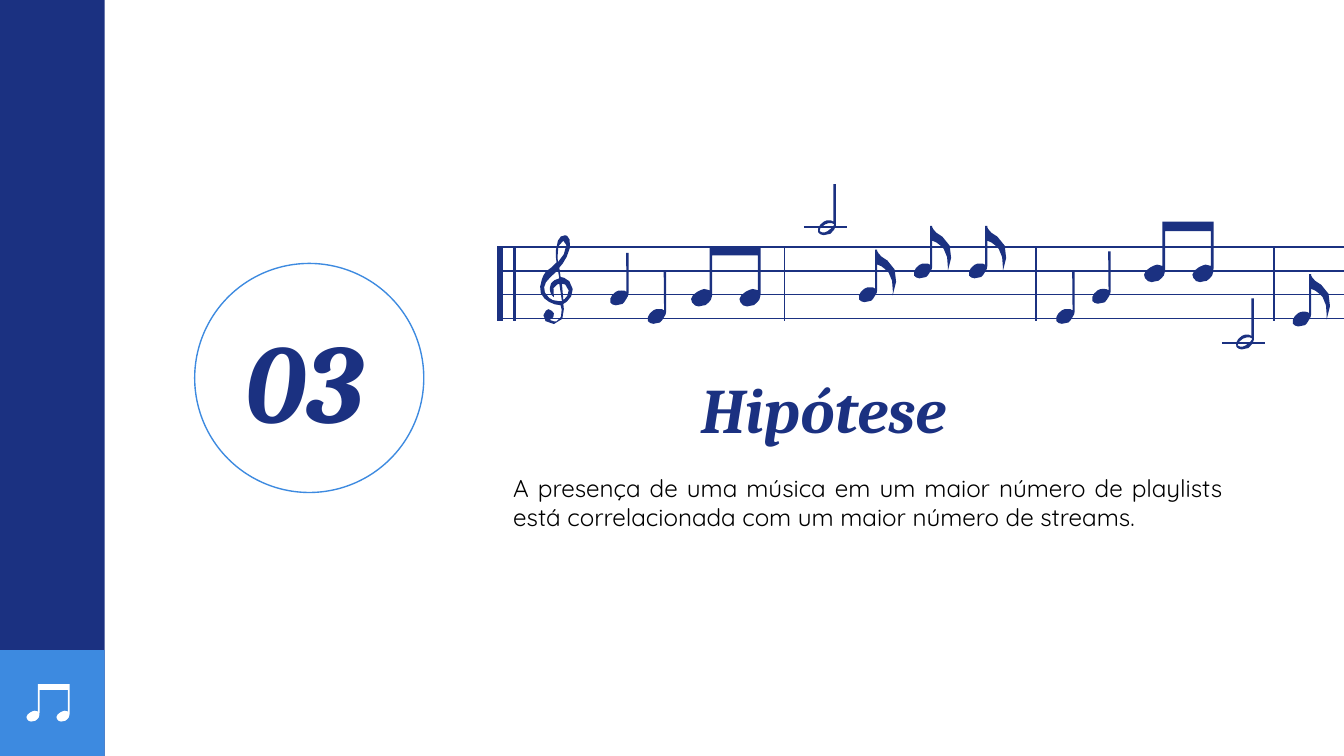
import math

from pptx import Presentation
from pptx import util as u
from pptx.dml.color import RGBColor
from pptx.enum import shapes, text
from pptx.oxml.ns import qn
from lxml import etree

NAVY, BLUE, WHITE, BLACK = "1B3181", "3D8AE0", "FFFFFF", "000000"
GRID = u.Cm(2.54) / 100  # glyph outlines are drawn on this grid


def shift(segments, dx):
    """Move outline segments sideways."""
    return [tuple(v if i % 2 else v + dx for i, v in enumerate(s)) for s in segments]


# Glyph contours: pairs are line points, six numbers are a Bezier curve
NOTE_HEAD = [(13, 29), (12, 28, 11, 28, 9, 28), (8, 28, 6, 28, 5, 29),
             (2, 31, 0, 34, 1, 37), (2, 38, 3, 39, 5, 39), (7, 39, 8, 38, 10, 38),
             (11, 37, 12, 36, 13, 34), (14, 33, 14.5, 31, 14.5, 30)]
QUARTER = [[(12.7, 0)] + NOTE_HEAD + [(14.5, 0)]]
EIGHTH = [[(13, 0)] + NOTE_HEAD + [
    (14.5, 11), (18, 12, 20, 14, 23, 17), (27, 21, 26, 34, 26, 34),
    (30, 24, 30, 13, 22, 8), (16, 5, 15, 2, 14.5, 1), (14.5, 0)]]
HALF = [
    [(11, 29), (12, 29, 12, 29, 13, 30), (13, 31, 11, 33, 8, 35),
     (7, 36, 5, 36, 4, 36), (3, 36, 2, 36, 2, 35), (1, 34, 3, 32, 6, 30),
     (8, 29, 9, 29, 11, 29)],
    [(12.3, 0), (12.3, 28), (11, 27, 10, 27, 9, 27), (8, 27, 6, 27, 5, 28),
     (2, 30, 0, 33, 1, 36), (2, 37, 3, 38, 5, 38), (7, 38, 8, 37, 10, 37),
     (12, 35, 14, 33, 14, 31), (14, 0)],
]
BEAM_HEAD = [(15, 33), (14, 33, 13, 32, 11, 32), (10, 32, 8, 33, 6, 34),
             (2, 36, 0, 40, 2, 42), (3, 44, 5, 45, 7, 45), (8, 45, 10, 44, 12, 44),
             (14, 43, 15, 41, 16, 40), (17, 38, 17, 36, 17, 34)]
BEAMED = [[(15, 0)] + BEAM_HEAD + [(17, 7), (51, 7)] + shift(BEAM_HEAD, 36) + [(53, 0)]]
CLEF = [
    [(18, 4), (23, 4, 19, 16, 14, 20), (14, 20, 12, 4, 18, 4)],
    [(17, 36), (18, 36, 21, 36, 22, 41), (22, 46, 18, 48, 18, 48)],
    [(14, 26), (15, 32), (11, 33, 8, 35, 8, 39), (8, 41, 8, 42, 9, 44), (11, 46),
     (8, 37, 15, 36, 15, 36), (17, 49), (15, 49), (9, 49, 7, 46, 7, 46),
     (3, 43, 3, 38, 5, 35), (7, 32, 14, 26, 14, 26)],
    [(19, 0), (17, 0, 15, 1, 14, 4), (11, 11, 13, 20, 13, 20), (9, 24),
     (8, 25, 6, 26, 5, 27), (4, 29, 2, 31, 2, 33),
     (0, 38, 0, 44, 4, 47), (7, 50, 12, 52, 16, 52), (17, 53, 18, 63, 13, 64),
     (11, 64), (8, 63), (10, 62, 12, 60, 11, 58),
     (10, 57, 9, 55, 7, 55), (5, 56), (2, 58, 2, 66, 11, 66),
     (21, 66, 18, 51, 18, 51), (19, 51, 26, 46, 25, 40), (24, 32, 17, 31, 16, 31),
     (15, 24), (17, 22, 21, 17, 23, 9), (24, 1, 20, 0, 20, 0)],
]

# Glyph positions in centimetres
NOTES = [
    (CLEF, [(10.19, 4.45)]),
    (QUARTER, [(11.51, 4.78), (12.22, 5.13), (19.94, 5.13), (20.62, 4.75)]),
    (BEAMED, [(13.03, 4.65), (21.59, 4.19)]),
    (HALF, [(15.44, 3.48), (23.34, 5.64)]),
    (EIGHTH, [(16.21, 4.72), (17.25, 4.27), (18.29, 4.27), (24.41, 5.18)]),
]
BAR_LINES = [(9.45, 3), (9.73, 1.5), (14.83, 0.75), (19.58, 0.75), (24.08, 0.75)]
LEDGER_LINES = [(15.19, 4.29), (23.09, 6.48)]


def color(value):
    return RGBColor.from_string(value)


def paint(shape, fill=None, line=None):
    shape.shadow.inherit = False
    if fill:
        shape.fill.solid()
        shape.fill.fore_color.rgb = color(fill)
    else:
        shape.fill.background()
    if line:
        shape.line.color.rgb = color(line)
        shape.line.width = u.Pt(0.75)
    else:
        shape.line.fill.background()


def add_preset(page, kind, left, top, width, height, **look):
    shape = page.shapes.add_shape(kind, u.Cm(left), u.Cm(top), u.Cm(width), u.Cm(height))
    paint(shape, **look)


def add_line(parent, x1, y1, x2, y2, width=0.75):
    line = parent.shapes.add_connector(
        shapes.MSO_CONNECTOR.STRAIGHT, u.Cm(x1), u.Cm(y1), u.Cm(x2), u.Cm(y2))
    line.line.color.rgb = color(NAVY)
    line.line.width = u.Pt(width)
    etree.SubElement(line._element.spPr, qn("a:effectLst"))


def flatten(contour):
    """Turn lines and Bezier curves into points, with more of them on longer curves."""
    points = [contour[0]]
    for segment in contour[1:]:
        start, end = points[-1], segment[-2:]
        if len(segment) == 2:
            points.append(end)
            continue
        chord = math.dist(start, end)
        steps = 1 + (chord > 2.5) + (chord > 8)
        for step in range(1, steps + 1):
            t = step / steps
            s = 1 - t
            points.append(tuple(
                s**3 * p + 3 * s * s * t * q + 3 * s * t * t * r + t**3 * v
                for p, q, r, v in zip(start, segment[:2], segment[2:4], end)))
    return points


def add_glyph(page, contours, left, top, fill=NAVY, size=1):
    def place(point):
        return (round(u.Cm(left) + point[0] * GRID * size),
                round(u.Cm(top) + point[1] * GRID * size))

    outlines = [[place(point) for point in flatten(contour)] for contour in contours]
    builder = page.shapes.build_freeform(*outlines[0][0])
    for index, outline in enumerate(outlines):
        if index:
            builder.move_to(*outline[0])
        builder.add_line_segments(outline[1:], close=True)
    paint(builder.convert_to_shape(), fill=fill)


def add_text(page, words, left, top, width, height, size, font="Cambria", ink=NAVY,
             strong=True, align=text.PP_ALIGN.CENTER, anchor=text.MSO_ANCHOR.MIDDLE):
    box = page.shapes.add_textbox(u.Cm(left), u.Cm(top), u.Cm(width), u.Cm(height))
    frame = box.text_frame
    frame.word_wrap = True
    frame.vertical_anchor = anchor
    frame.margin_left = frame.margin_right = u.Cm(0.25)
    frame.margin_top = frame.margin_bottom = u.Cm(0.25)
    para = frame.paragraphs[0]
    para.alignment = align
    span = para.add_run()
    span.text = words
    span.font.name = font
    span.font.size = u.Pt(size)
    span.font.bold = span.font.italic = strong
    span.font.color.rgb = color(ink)


def main():
    deck = Presentation()
    deck.slide_width, deck.slide_height = u.Cm(25.4), u.Cm(14.29)
    page = deck.slides.add_slide(deck.slide_layouts[6])

    # Side band with its small note
    add_preset(page, shapes.MSO_SHAPE.RECTANGLE, 0, 0, 1.98, 14.29, fill=NAVY)
    add_preset(page, shapes.MSO_SHAPE.RECTANGLE, 0, 12.29, 1.98, 2, fill=BLUE)
    add_glyph(page, BEAMED, 0.48, 12.93, fill=WHITE, size=0.62)

    # Section number and heading
    add_preset(page, shapes.MSO_SHAPE.OVAL, 3.68, 4.98, 4.33, 4.33, line=BLUE)
    add_text(page, "Hipótese ", 9.47, 6.6, 12.47, 2.24, 34)
    add_text(page, "03", 4.04, 5.87, 3.43, 2.57, 60)

    # Staff, bar lines and ledger lines
    staff = page.shapes.add_group_shape()
    for row in range(4):
        y = 4.67 + 0.45 * row
        add_line(staff, 9.45, y, 25.4, y)
    for x, width in BAR_LINES:
        add_line(page, x, 4.65, x, 6.07, width)
    for x, y in LEDGER_LINES:
        add_line(page, x, y, x + 0.81, y)

    # Clef and notes
    for glyph, places in NOTES:
        for left, top in places:
            add_glyph(page, glyph, left, top)

    # Hypothesis
    add_text(page, "A presença de uma música em um maior número de playlists está "
             "correlacionada com um maior número de streams.",
             9.45, 8.69, 13.89, 1.78, 13, font="Quicksand", ink=BLACK, strong=False,
             align=text.PP_ALIGN.JUSTIFY, anchor=text.MSO_ANCHOR.TOP)

    deck.save("out.pptx")


if __name__ == "__main__":
    main()
